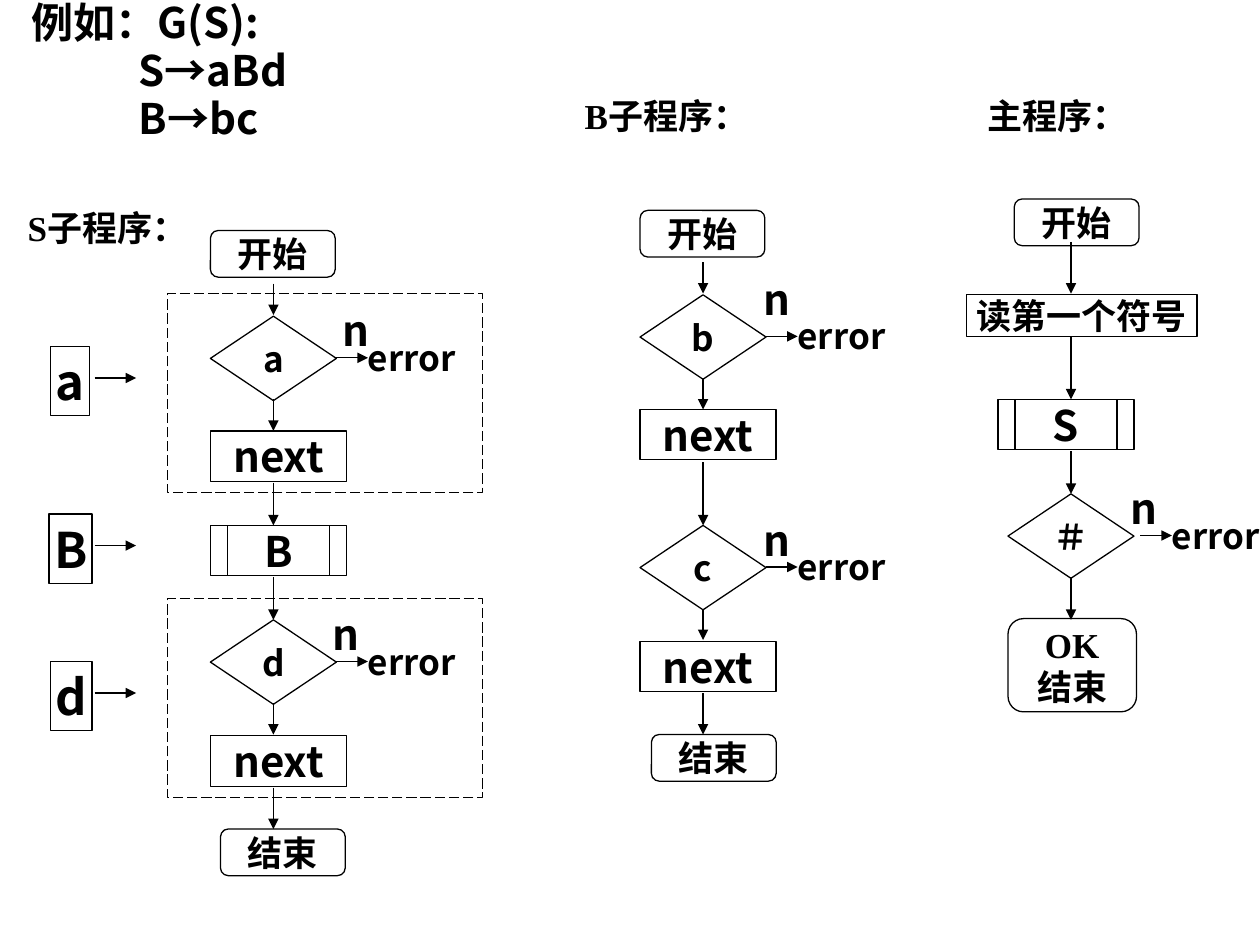
import pptx
import pptx.util
import pptx.dml.color
import pptx.enum.dml
import pptx.enum.shapes
import pptx.enum.text
import pptx.oxml
import pptx.oxml.ns

Inches = pptx.util.Inches
SHAPE = pptx.enum.shapes.MSO_SHAPE
ALIGN = pptx.enum.text.PP_ALIGN
ANCHOR = pptx.enum.text.MSO_ANCHOR
SANS = "Noto Sans CJK SC"
SERIF = "Times New Roman"
BLACK = "000000"


def rgb(code):
    return pptx.dml.color.RGBColor.from_string(code)


def add_xml(parent, tag, **attributes):
    element = pptx.oxml.parse_xml(f"<a:{tag} {pptx.oxml.ns.nsdecls('a')}/>")
    for name, value in attributes.items():
        element.set(name, value)
    parent.append(element)


def write_text(frame, text, size=20, font=SANS, align=ALIGN.LEFT,
               anchor=ANCHOR.TOP, inset=0, wrap=True):
    frame.word_wrap = wrap
    frame.auto_size = pptx.enum.text.MSO_AUTO_SIZE.NONE
    frame.vertical_anchor = anchor
    frame.margin_left = frame.margin_right = Inches(inset)
    frame.margin_top = frame.margin_bottom = Inches(inset)
    for index, line in enumerate(text.split("\n")):
        para = frame.add_paragraph() if index else frame.paragraphs[0]
        para.alignment = align
        span = para.add_run()
        span.text = line
        span.font.size = pptx.util.Pt(size)
        span.font.bold = True
        span.font.name = font
        span.font.color.rgb = rgb(BLACK)
        add_xml(span.font._element, "ea", typeface=SANS)


class FlowSlide:
    def __init__(self, page, color=BLACK, weight=0.75):
        self.page = page
        self.color = color
        self.weight = weight

    def outline(self, line):
        line.color.rgb = rgb(self.color)
        line.width = pptx.util.Pt(self.weight)

    def box(self, kind, left, top, width, height, text="", **style):
        box = self.page.shapes.add_shape(
            kind, Inches(left), Inches(top), Inches(width), Inches(height))
        box.shadow.inherit = False
        box.fill.background()
        self.outline(box.line)
        if text:
            write_text(box.text_frame, text, **style)
        return box

    def node(self, kind, left, top, width, height, text, **style):
        self.box(kind, left, top, width, height, text,
                 align=ALIGN.CENTER, anchor=ANCHOR.MIDDLE, **style)

    def terminal(self, left, top, text, width=0.99, height=0.37):
        self.node(SHAPE.FLOWCHART_ALTERNATE_PROCESS, left, top, width, height,
                  text, font=SERIF)

    def step(self, left, top, text, kind=SHAPE.FLOWCHART_PROCESS):
        self.node(kind, left, top, 1.08, 0.4, text, size=24)

    def call(self, left, top, text):
        self.step(left, top, text, SHAPE.FLOWCHART_PREDEFINED_PROCESS)

    def label(self, left, top, width, height, text, **style):
        label = self.page.shapes.add_textbox(
            Inches(left), Inches(top), Inches(width), Inches(height))
        write_text(label.text_frame, text, wrap=False, **style)

    def arrow(self, x1, y1, x2, y2):
        arrow = self.page.shapes.add_connector(
            pptx.enum.shapes.MSO_CONNECTOR.STRAIGHT,
            Inches(x1), Inches(y1), Inches(x2), Inches(y2))
        self.outline(arrow.line)
        add_xml(arrow.line._get_or_add_ln(), "tailEnd", type="triangle")
        add_xml(arrow._element.spPr, "effectLst")

    def down(self, x, *spans):
        for start, end in spans:
            self.arrow(x, start, x, end)

    def decision(self, left, top, text, no_left, no_top, gap=0):
        self.node(SHAPE.FLOWCHART_DECISION, left, top, 1, 0.67, text)
        start, middle = left + 1 + gap, top + 0.33
        self.arrow(start, middle, start + 0.25, middle)
        self.label(start + 0.25, middle - 0.17, 0.72, 0.33, "error")
        self.label(no_left, no_top, 0.22, 0.4, "n", size=24)

    def grammar(self, lines):
        body = self.page.placeholders[1]
        body.left, body.top = Inches(0), Inches(0)
        body.width, body.height = Inches(9.5), Inches(1.42)
        write_text(body.text_frame, "\n".join(lines), size=24, inset=0.05)
        body.text_frame.margin_left = Inches(0.1)
        for index, para in enumerate(body.text_frame.paragraphs):
            para.line_spacing = 0.8
            para.space_before = pptx.util.Pt(4.4 if index else 0)
            properties = para._p.get_or_add_pPr()
            properties.set("marL", str(Inches(1 if index else 0.15)))
            properties.set("indent", "0")
            add_xml(properties, "buNone")


def draw_s_routine(flow):
    flow.label(0.22, 1.64, 1.34, 0.33, "S子程序：", font=SERIF)
    flow.terminal(1.67, 1.83, "开始")
    flow.decision(1.67, 2.51, "a", 2.72, 2.42)
    flow.step(1.67, 3.42, "next")
    flow.call(1.67, 4.17, "B")
    flow.decision(1.67, 4.92, "d", 2.64, 4.83)
    flow.step(1.67, 5.84, "next")
    flow.terminal(1.75, 6.58, "结束")
    flow.down(2.17, (2.25, 2.5), (3.17, 3.42), (3.83, 4.17), (4.58, 4.92),
              (5.58, 5.83), (6.25, 6.58))
    for top in (2.33, 4.75):
        frame = flow.box(SHAPE.RECTANGLE, 1.33, top, 2.5, 1.58)
        frame.line.dash_style = pptx.enum.dml.MSO_LINE.LONG_DASH
    symbols = (("a", 0.4, 2.75, 0.31), ("B", 0.39, 4.08, 0.34),
               ("d", 0.4, 5.25, 0.33))
    for text, left, top, width in symbols:
        flow.box(SHAPE.RECTANGLE, left, top, width, 0.55, text,
                 size=28, inset=0.04, wrap=False)
        flow.arrow(0.75, top + 0.25, 1.08, top + 0.25)


def draw_b_routine(flow):
    flow.label(4.64, 0.75, 1.37, 0.33, "B子程序：", font=SERIF)
    flow.terminal(5.08, 1.67, "开始")
    flow.decision(5.08, 2.34, "b", 6.06, 2.17)
    flow.step(5.08, 3.25, "next")
    flow.decision(5.08, 4.17, "c", 6.06, 4.08)
    flow.step(5.08, 5.09, "next")
    flow.terminal(5.17, 5.83, "结束")
    flow.down(5.58, (2.08, 2.33), (3, 3.25), (3.67, 4.17), (4.83, 5.08),
              (5.5, 5.83))


def draw_main_program(flow):
    flow.label(7.84, 0.75, 1.11, 0.33, "主程序：", font=SERIF)
    flow.terminal(8.05, 1.58, "开始")
    flow.node(SHAPE.FLOWCHART_PROCESS, 7.67, 2.34, 1.83, 0.33, "读第一个符号")
    flow.call(7.92, 3.17, "S")
    flow.decision(8, 3.92, "＃", 8.97, 3.83, gap=0.05)
    flow.terminal(8, 4.91, "OK\n结束", width=1.02, height=0.74)
    flow.down(8.5, (1.92, 2.33), (2.67, 3.17), (3.58, 3.92), (4.58, 4.92))


def main():
    deck = pptx.Presentation()
    deck.slide_width, deck.slide_height = Inches(10), Inches(7.5)
    page = deck.slides.add_slide(deck.slide_layouts[1])
    title = page.shapes.title._element
    title.getparent().remove(title)
    flow = FlowSlide(page)
    flow.grammar(("例如：G(S):", "S→aBd", "B→bc"))
    draw_s_routine(flow)
    draw_b_routine(flow)
    draw_main_program(flow)
    deck.save("out.pptx")


if __name__ == "__main__":
    main()
